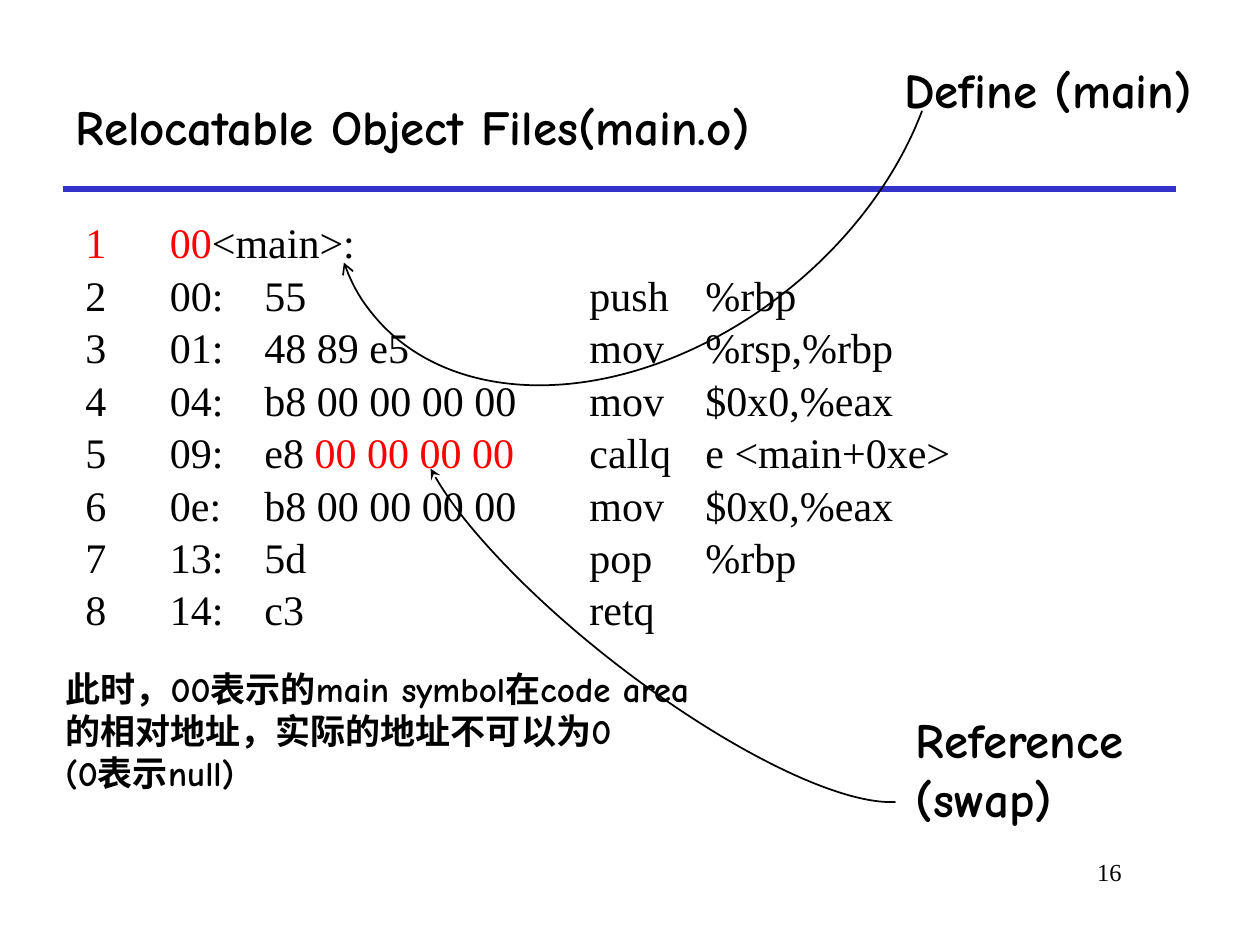
import pptx
import pptx.util
import pptx.dml.color
import pptx.enum.shapes
import pptx.enum.text
import pptx.oxml.ns
from lxml import etree

Inches = pptx.util.Inches
Pt = pptx.util.Pt
RGB = pptx.dml.color.RGBColor
Align = pptx.enum.text.PP_ALIGN
Anchor = pptx.enum.text.MSO_ANCHOR
Shape = pptx.enum.shapes.MSO_SHAPE
Link = pptx.enum.shapes.MSO_CONNECTOR
qn = pptx.oxml.ns.qn

BLACK = RGB(0, 0, 0)
RED = RGB(255, 0, 0)
BLUE = RGB(0x33, 0x33, 0xCC)

HANG = 0.67
STOPS = (1.42, 4, 4.92)
CODE = [
    [("00", RED), ("<main>:", BLACK)],
    [("00:\t55\tpush\t%rbp", BLACK)],
    [("01:\t48 89 e5\tmov\t%rsp,%rbp", BLACK)],
    [("04:\tb8 00 00 00 00\tmov\t$0x0,%eax", BLACK)],
    [("09:\te8 ", BLACK), ("00 00 00 00", RED), ("\tcallq\te <main+0xe>", BLACK)],
    [("0e:\tb8 00 00 00 00\tmov\t$0x0,%eax", BLACK)],
    [("13:\t5d\tpop\t%rbp", BLACK)],
    [("14:\tc3\tretq", BLACK)],
]


def write(para, text, size=28, font="Comic Neue", color=BLACK, bold=True):
    run = para.add_run()
    run.text = text
    run.font.size = Pt(size)
    run.font.name = font
    run.font.bold = bold
    run.font.color.rgb = color


def lines(frame, count):
    return [frame.paragraphs[0]] + [frame.add_paragraph() for _ in range(count - 1)]


class Deck:
    serif = {"font": "Times New Roman", "bold": False}

    def __init__(self):
        self.file = pptx.Presentation()
        self.file.slide_width = Inches(10)
        self.file.slide_height = Inches(7.5)
        self.slide = self.file.slides.add_slide(self.file.slide_layouts[5])

    def title(self, text, *box):
        head = self.slide.shapes.title
        head.left, head.top, head.width, head.height = map(Inches, box)
        head.text_frame.vertical_anchor = Anchor.MIDDLE
        para = head.text_frame.paragraphs[0]
        para.alignment = Align.LEFT
        write(para, text)

    def frame(self, *box):
        frame = self.slide.shapes.add_textbox(*map(Inches, box)).text_frame
        frame.word_wrap = True
        return frame

    def text(self, rows, *box, align=Align.LEFT, **style):
        frame = self.frame(*box)
        for para, row in zip(lines(frame, len(rows)), rows):
            para.alignment = align
            write(para, row, **style)

    def code(self, rows, *box):
        frame = self.frame(*box)
        for index, para in enumerate(lines(frame, len(rows))):
            props = para._p.get_or_add_pPr()
            props.set("marL", str(Inches(HANG)))
            props.set("indent", str(-Inches(HANG)))
            etree.SubElement(props, qn("a:buAutoNum"), type="arabicPlain")
            tabs = etree.SubElement(props, qn("a:tabLst"))
            for stop in STOPS:
                etree.SubElement(tabs, qn("a:tab"), pos=str(Inches(stop)), algn="l")
            if index:
                para.space_before = Pt(1.2)
            for part, color in rows[index]:
                write(para, part, size=24, color=color, **self.serif)

    def rule(self, left, right, top):
        line = self.slide.shapes.add_connector(
            Link.STRAIGHT, Inches(left), Inches(top), Inches(right), Inches(top))
        line.line.color.rgb = BLUE
        line.line.width = Pt(3)
        etree.SubElement(line._element.spPr, qn("a:effectLst"))

    def arc(self, *box, turn, start, end, tip):
        arc = self.slide.shapes.add_shape(Shape.ARC, *map(Inches, box))
        arc.shadow.inherit = False
        arc.rotation = turn
        for index, angle in enumerate((start, end)):
            arc.adjustments[index] = angle * 0.6
        arc.fill.background()
        arc.line.color.rgb = BLACK
        arc.line.width = Pt(1)
        etree.SubElement(arc.line._get_or_add_ln(), qn("a:tailEnd"), type=tip)


def main():
    deck = Deck()
    deck.rule(0.5, 9.33, 1.5)
    deck.text(["16"], 7.58, 6.75, 1.42, 0.5, align=Align.RIGHT, size=14, **deck.serif)
    deck.code(CODE, 0.58, 1.67, 8.75, 5)
    deck.title("Relocatable Object Files(main.o)", 0.5, 0.5, 8.83, 1)
    deck.arc(2.36, -1.12, 5.39, 3.84, turn=141.1, start=220.9, end=10, tip="arrow")
    deck.text(["Define (main)"], 7.08, 0.42, 2.9, 0.57)
    deck.text(["Reference", "(swap)"], 7.17, 5.58, 2.12, 1.04)
    deck.arc(2.82, 4.04, 5.03, 1.39, turn=217.6, start=185, end=350.3, tip="stealth")
    deck.text(["此时，00表示的main symbol在code area",
               "的相对地址，实际的地址不可以为0",
               "(0表示null)"], 0.42, 5.25, 5.42, 1.11, size=20)
    deck.file.save("out.pptx")


if __name__ == "__main__":
    main()
